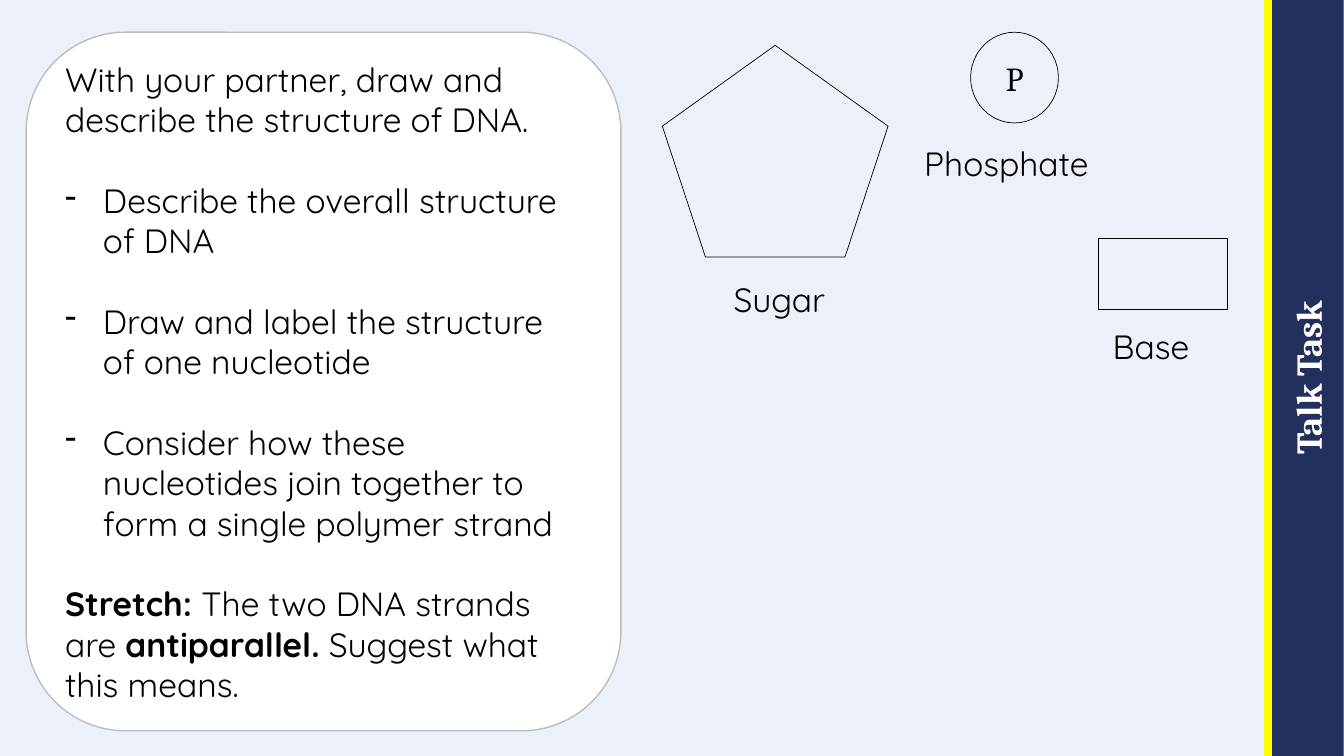
from dataclasses import dataclass
from typing import Optional

from lxml import etree
from pptx import Presentation
from pptx import util as u
from pptx.dml.color import RGBColor
from pptx.enum import shapes, text
from pptx.oxml import ns

KIND = shapes.MSO_SHAPE


@dataclass(frozen=True)
class Theme:
    page: str = "ECF1F9"
    card: str = "FFFFFF"
    edge: str = "BDBDBD"
    ink: str = "000000"
    navy: str = "232F5D"
    rule: str = "FFFF00"
    body: str = "Quicksand"
    serif: str = "Cambria"
    size: float = 24
    title: float = 26
    gap: float = 28.8
    indent: float = 0.375


@dataclass(frozen=True)
class Box:
    """A place on the slide, in percent of its width and height."""
    left: float
    top: float
    width: float
    height: float


@dataclass(frozen=True)
class Part:
    """One building block of a nucleotide with its label."""
    kind: KIND
    place: Box
    label: str
    spot: Box
    mark: str = ""


@dataclass(frozen=True)
class Para:
    """Text pieces, every second one bold when lead is set."""
    pieces: tuple[str, ...]
    dash: bool = False
    lead: bool = False


THEME = Theme()
WIDTH, HEIGHT = u.Inches(13.333), u.Inches(7.5)

PARTS = (
    Part(KIND.REGULAR_PENTAGON, Box(49.28, 6, 16.8, 28),
         "Sugar", Box(53.85, 36.27, 8.48, 6.67)),
    Part(KIND.OVAL, Box(72.22, 4.27, 6.53, 12),
         "Phosphate", Box(68.03, 18.27, 14.7, 6.67), "P"),
    Part(KIND.RECTANGLE, Box(81.75, 31.47, 9.6, 9.47),
         "Base", Box(82.05, 42.4, 7.28, 6.67)),
)

TASKS = (
    Para(("With your partner, draw and describe the structure of DNA.",)),
    Para(("Describe the overall structure of DNA",), dash=True),
    Para(("Draw and label the structure of one nucleotide",), dash=True),
    Para(("Consider how these nucleotides join together to form a single "
          "polymer strand",), dash=True),
    Para(("Stretch: ", "The two DNA strands are ", "antiparallel.",
          " Suggest what this means."), lead=True),
)


def across(share: float) -> int:
    return round(WIDTH * share / 100)


def down(share: float) -> int:
    return round(HEIGHT * share / 100)


def frame(box: Box) -> tuple[int, int, int, int]:
    return (across(box.left), down(box.top),
            across(box.width), down(box.height))


def style(para, font: str = THEME.body, size: float = THEME.size,
          ink: str = THEME.ink, bold: Optional[bool] = None) -> None:
    para.font.name = font
    para.font.size = u.Pt(size)
    para.font.color.rgb = RGBColor.from_string(ink)
    para.font.bold = bold


def shape(slide, kind: KIND, box: Box, fill: str = "", line: str = "",
          width: float = 0.5):
    """Add a flat shape; an empty fill or line colour means none."""
    item = slide.shapes.add_shape(kind, *frame(box))
    item.shadow.inherit = False
    if fill:
        item.fill.solid()
        item.fill.fore_color.rgb = RGBColor.from_string(fill)
    else:
        item.fill.background()
    if line:
        item.line.color.rgb = RGBColor.from_string(line)
        item.line.width = u.Pt(width)
    else:
        item.line.fill.background()
    return item


def center(item, words: str, **look) -> None:
    item.text_frame.vertical_anchor = text.MSO_ANCHOR.MIDDLE
    para = item.text_frame.paragraphs[0]
    para.text = words
    para.alignment = text.PP_ALIGN.CENTER
    style(para, **look)


def bullet(para) -> None:
    """Give the paragraph a dash and a hanging indent."""
    props = para._p.get_or_add_pPr()
    indent = u.Inches(THEME.indent)
    props.set("marL", str(indent))
    props.set("indent", str(-indent))
    etree.SubElement(props, ns.qn("a:buFontTx"))
    etree.SubElement(props, ns.qn("a:buChar")).set("char", "-")


def draw_part(slide, part: Part) -> None:
    item = shape(slide, part.kind, part.place, line=THEME.ink)
    if part.mark:
        center(item, part.mark, font=THEME.serif)
    label = slide.shapes.add_textbox(*frame(part.spot)).text_frame
    label.word_wrap = False
    label.auto_size = text.MSO_AUTO_SIZE.SHAPE_TO_FIT_TEXT
    label.text = part.label
    style(label.paragraphs[0])


def draw_card(slide) -> None:
    card = shape(slide, KIND.ROUNDED_RECTANGLE, Box(1.95, 4.27, 44.25, 92.4),
                 THEME.card, THEME.edge, 1)
    body = card.text_frame
    body.word_wrap = True
    body.vertical_anchor = text.MSO_ANCHOR.MIDDLE
    for place, task in enumerate(TASKS):
        para = body.add_paragraph() if place else body.paragraphs[0]
        para.alignment = text.PP_ALIGN.LEFT
        if place:
            para.space_before = u.Pt(THEME.gap)
        if task.dash:
            bullet(para)
        style(para)
        for turn, piece in enumerate(task.pieces):
            run = para.add_run()
            run.text = piece
            if task.lead and turn % 2 == 0:
                run.font.bold = True


def draw_side(slide) -> None:
    """Add the turned title band."""
    band = shape(slide, KIND.RECTANGLE, Box(69.15, 45.2, 56.25, 9.6),
                 THEME.navy)
    band.rotation = 270
    body = band.text_frame
    body.margin_left = body.margin_right = 0
    body.margin_top = body.margin_bottom = 0
    center(band, "Talk Task", font=THEME.serif, size=THEME.title,
           ink=THEME.card, bold=True)


def draw_rule(slide) -> None:
    left = across(94.35)
    rule = slide.shapes.add_connector(
        shapes.MSO_CONNECTOR.STRAIGHT, left, 0, left, HEIGHT)
    rule.line.color.rgb = RGBColor.from_string(THEME.rule)
    rule.line.width = u.Pt(6)
    etree.SubElement(rule._element.spPr, ns.qn("a:effectLst"))


def main() -> None:
    deck = Presentation()
    deck.slide_width, deck.slide_height = WIDTH, HEIGHT
    slide = deck.slides.add_slide(deck.slide_layouts[6])
    slide.background.fill.solid()
    slide.background.fill.fore_color.rgb = RGBColor.from_string(THEME.page)
    draw_side(slide)
    for part in PARTS:
        draw_part(slide, part)
    draw_card(slide)
    draw_rule(slide)
    deck.save("out.pptx")


if __name__ == "__main__":
    main()
